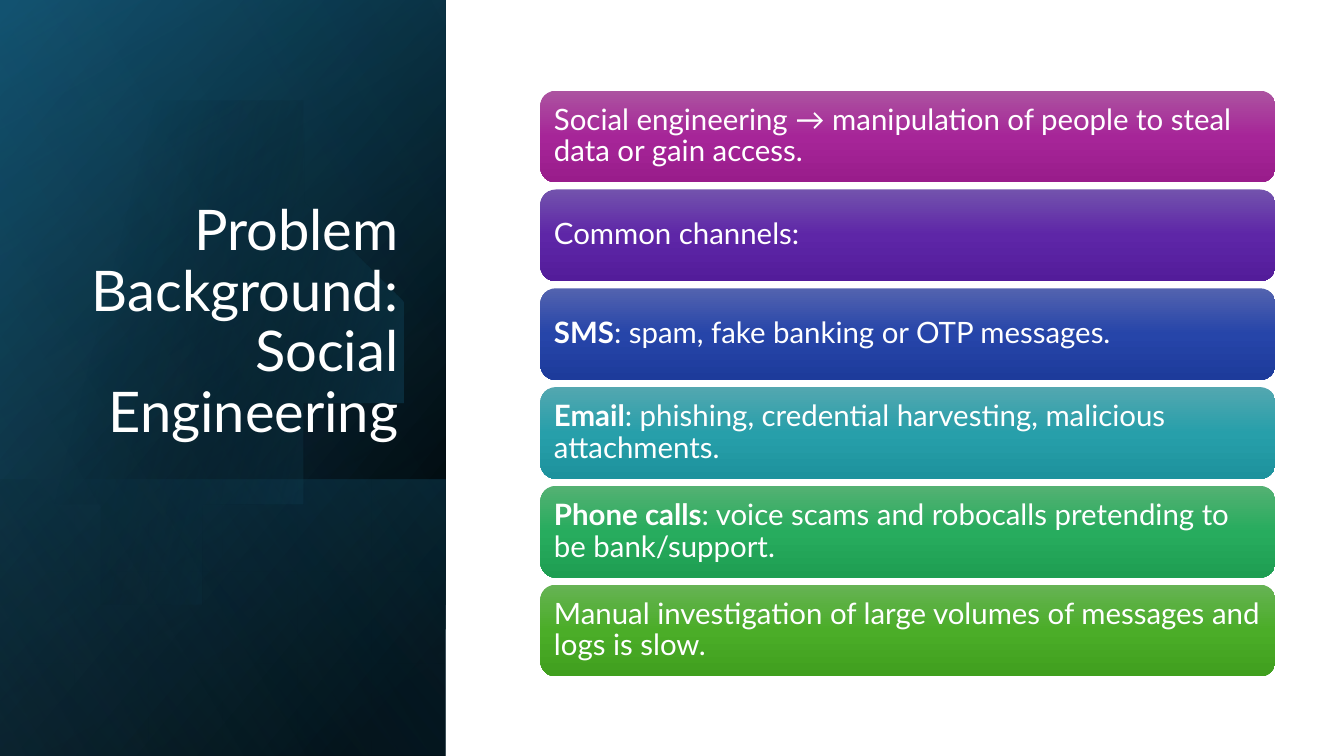
import pptx
import pptx.util
import pptx.dml.color
import pptx.enum.shapes
import pptx.enum.text
import pptx.oxml.ns
from lxml import etree

Inches = pptx.util.Inches
COLORS = {
    "white": "FFFFFF", "black": "000000", "navy": "104862",
    "teal": "156082", "sky": "46B1E1",
}
CARDS = [
    ("", "Social engineering → manipulation of people to steal data or gain access.",
     ("AC53A0", "A62598", "991C8B")),
    ("", "Common channels:", ("7353AD", "5E26A7", "531C9A")),
    ("SMS", ": spam, fake banking or OTP messages.", ("5363AF", "2645A9", "1D3B9B")),
    ("Email", ": phishing, credential harvesting, malicious attachments.",
     ("53A7B0", "279FAA", "1D929D")),
    ("Phone calls", ": voice scams and robocalls pretending to be bank/support.",
     ("54B173", "27AC5E", "1E9E52")),
    ("", "Manual investigation of large volumes of messages and logs is slow.",
     ("66B354", "4BAD28", "409F1E")),
]
PANEL = (-1.54, 1.54, 7.5, 4.42)
LAYERS = [
    (PANEL, [(8, "black", 100), (100, "navy", 100)], 50),
    (PANEL, [(0, "black", 0), (99, "teal", 46)], 30),
    ((0.84, 3.92, 2.74, 4.42), [(2, "teal", 29), (100, "black", 30)], 130),
]
SHEEN = (PANEL, [(0, "black", 0), (99, "sky", 11)], 120)
DISC_START = (1.49, 1.1)
DISC_CURVES = [
    [(2.46, 1.12), (3.35, 1.77), (3.63, 2.75)],
    [(3.98, 3.97), (3.28, 5.23), (2.07, 5.58)],
    [(1.31, 5.8), (0.53, 5.61), (-0.03, 5.14)],
    [(-0.15, 5.03)],
    [(-0.15, 1.75)],
    [(0, 1.61)],
    [(0.23, 1.42), (0.5, 1.28), (0.8, 1.19)],
    [(1.03, 1.13), (1.26, 1.1), (1.49, 1.1)],
]


def set_values(target, values):
    for name, value in values.items():
        setattr(target, name, value)


def curve_points(start, curve, steps=24):
    if len(curve) == 1:
        return curve
    points = []
    for step in range(1, steps + 1):
        t = step / steps
        weights = ((1 - t) ** 3, 3 * t * (1 - t) ** 2, 3 * t * t * (1 - t), t ** 3)
        points.append(tuple(
            sum(weight * point[axis] for weight, point in zip(weights, [start, *curve]))
            for axis in (0, 1)))
    return points


class SlideBuilder:
    font_name = "Lato"

    def __init__(self, slide):
        self.slide = slide

    def paint(self, shape, stops, angle):
        shape.shadow.inherit = False
        shape.line.fill.background()
        shape.fill.solid()
        qn = pptx.oxml.ns.qn
        properties = shape._element.spPr
        solid = properties.find(qn("a:solidFill"))
        gradient = etree.Element(qn("a:gradFill"), rotWithShape="1")
        stop_list = etree.SubElement(gradient, qn("a:gsLst"))
        for position, color, opacity in stops:
            stop = etree.SubElement(stop_list, qn("a:gs"), pos=str(position * 1000))
            value = etree.SubElement(stop, qn("a:srgbClr"), val=COLORS.get(color, color))
            if opacity < 100:
                etree.SubElement(value, qn("a:alpha"), val=str(opacity * 1000))
        etree.SubElement(gradient, qn("a:lin"), ang=str(angle * 60000), scaled="0")
        properties.replace(solid, gradient)

    def add_shape(self, kind, box):
        return self.slide.shapes.add_shape(kind, *map(Inches, box))

    def add_layer(self, box, stops, angle):
        shape = self.add_shape(pptx.enum.shapes.MSO_SHAPE.RECTANGLE, box)
        shape.rotation = 90
        shape._element.spPr.xfrm.set("flipH", "1")
        self.paint(shape, stops, angle)

    def add_disc(self, start, curves, stops, angle):
        points = [start]
        for curve in curves:
            points.extend(curve_points(points[-1], curve))
        builder = self.slide.shapes.build_freeform(*points[0], scale=Inches(1))
        builder.add_line_segments(points[1:], close=True)
        self.paint(builder.convert_to_shape(), stops, angle)

    def fill_text(self, shape, runs, size, frame_values, alignment):
        frame = shape.text_frame
        set_values(frame, {"word_wrap": True, **frame_values})
        paragraph = frame.paragraphs[0]
        set_values(paragraph, {"alignment": alignment, "line_spacing": 0.9})
        for text, bold in runs:
            run = paragraph.add_run()
            run.text = text
            set_values(run.font, {
                "name": self.font_name, "size": pptx.util.Pt(size), "bold": bold})
            run.font.color.rgb = pptx.dml.color.RGBColor.from_string(COLORS["white"])

    def add_title(self, text, box, size):
        title = self.slide.shapes.title
        self.slide.shapes._spTree.append(title._element)
        set_values(title, dict(zip(("left", "top", "width", "height"), map(Inches, box))))
        self.fill_text(title, [(text, False)], size, {
            "vertical_anchor": pptx.enum.text.MSO_ANCHOR.BOTTOM,
            "auto_size": pptx.enum.text.MSO_AUTO_SIZE.NONE,
        }, pptx.enum.text.PP_ALIGN.RIGHT)

    def add_card(self, box, label, text, colors):
        card = self.add_shape(pptx.enum.shapes.MSO_SHAPE.ROUNDED_RECTANGLE, box)
        self.paint(card, [(50 * i, color, 100) for i, color in enumerate(colors)], 90)
        runs = [(label, True), (text, False)] if label else [(text, False)]
        inset = Inches(0.09)
        self.fill_text(card, runs, 21, {
            "vertical_anchor": pptx.enum.text.MSO_ANCHOR.MIDDLE,
            "margin_left": inset, "margin_right": inset,
            "margin_top": inset, "margin_bottom": inset,
        }, pptx.enum.text.PP_ALIGN.LEFT)


def main():
    presentation = pptx.Presentation()
    set_values(presentation, {"slide_width": Inches(13.33), "slide_height": Inches(7.5)})
    builder = SlideBuilder(presentation.slides.add_slide(presentation.slide_layouts[5]))
    for layer in LAYERS:
        builder.add_layer(*layer)
    builder.add_disc(DISC_START, DISC_CURVES, [(29, "black", 0), (100, "teal", 43)], 14)
    builder.add_layer(*SHEEN)
    builder.add_title("Problem Background: Social Engineering", (0.64, 1.84, 3.41, 2.62), 40)
    for index, card in enumerate(CARDS):
        builder.add_card((5.36, 0.9 + 0.98 * index, 7.29, 0.91), *card)
    presentation.save("out.pptx")


if __name__ == "__main__":
    main()
